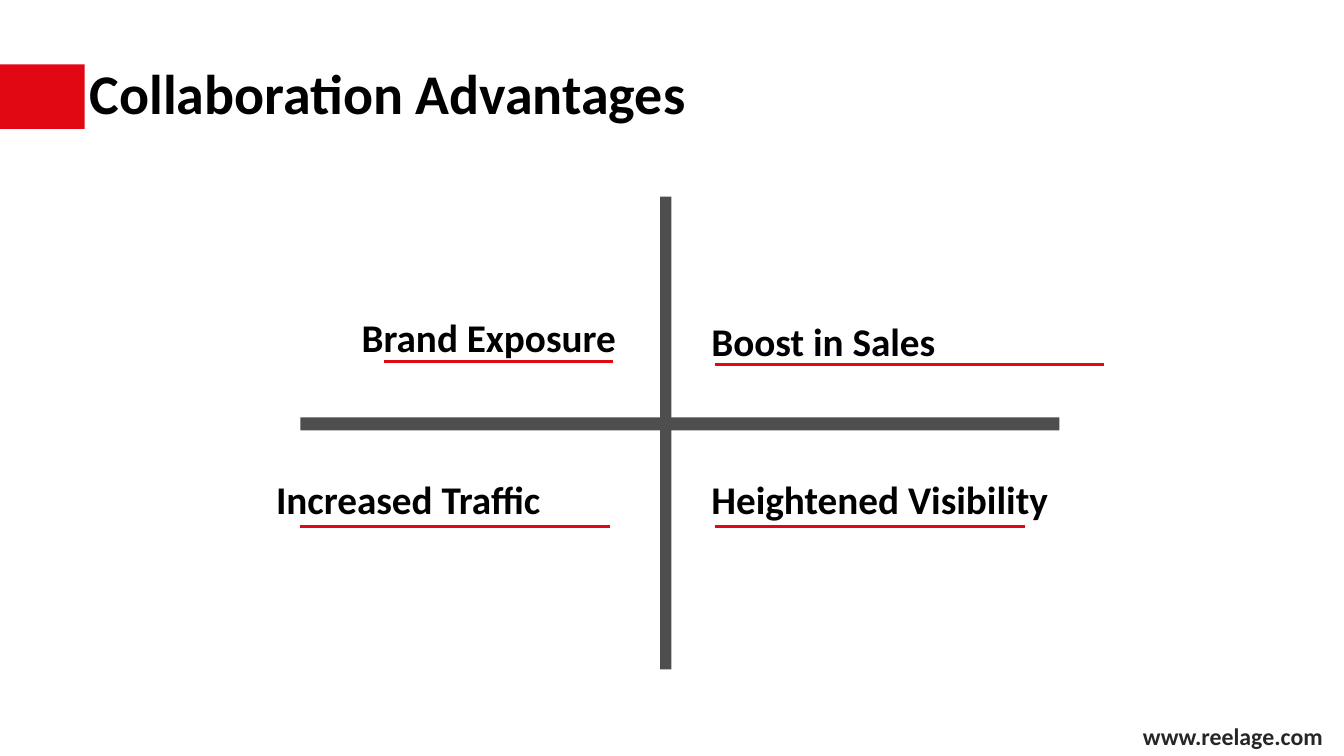
from lxml.etree import SubElement
from pptx import Presentation
from pptx.dml.color import RGBColor
from pptx.enum.shapes import MSO_CONNECTOR, MSO_SHAPE
from pptx.enum.text import MSO_ANCHOR, MSO_AUTO_SIZE, PP_ALIGN
from pptx.oxml.ns import qn
from pptx.util import Pt

COLORS = {"accent": "E20813", "axis": "4E4E4E", "text": "000000", "site": "262626"}

# label, label box (left, top, width, height), underline (indent, drop, length)
ADVANTAGES = [
    ("Brand Exposure", (251.3, 220.3, 197.3, 41), (23, 38.2, 163.4)),
    ("Boost in Sales", (501.1, 223.2, 319, 41), (9.4, 37.4, 277.9)),
    ("Increased Traffic", (190.1, 336.2, 258.5, 41), (24.5, 39.6, 221)),
    ("Heightened Visibility", (501.1, 336.2, 268.6, 41), (9.4, 39.6, 221.8)),
]


def color(key):
    return RGBColor.from_string(COLORS[key])


def add_bar(slide, box, fill):
    bar = slide.shapes.add_shape(MSO_SHAPE.RECTANGLE, *map(Pt, box))
    bar.shadow.inherit = False
    bar.fill.solid()
    bar.fill.fore_color.rgb = color(fill)
    bar.line.fill.background()


def write(frame, text, size, ink):
    paragraph = frame.paragraphs[0]
    paragraph.alignment = PP_ALIGN.LEFT
    run = paragraph.add_run()
    run.text = text
    run.font.name = "Calibri"
    run.font.size = Pt(size)
    run.font.bold = True
    run.font.color.rgb = color(ink)
    return paragraph


def add_label(slide, box, text, size, ink):
    frame = slide.shapes.add_textbox(*map(Pt, box)).text_frame
    frame.word_wrap = True
    frame.auto_size = MSO_AUTO_SIZE.SHAPE_TO_FIT_TEXT
    write(frame, text, size, ink)


def add_header(slide, box):
    """Place the red tab at the left edge and the title beside it."""
    left, top, width, height = box
    title = slide.shapes.title
    title.left, title.top = Pt(left + 56.9), Pt(top)
    title.width, title.height = Pt(width - 56.9), Pt(height)
    frame = title.text_frame
    frame.word_wrap = True
    frame.auto_size = MSO_AUTO_SIZE.NONE
    frame.vertical_anchor = MSO_ANCHOR.MIDDLE
    write(frame, "Collaboration Advantages", 40, "text").line_spacing = 0.9
    add_bar(slide, (left, top, 60.5, height), "accent")


def add_axes(slide, box):
    """Cross two bars that span the box."""
    left, top, width, height = box
    add_bar(slide, (left + 257, top, 7.9, height), "axis")
    add_bar(slide, (left, top + 157.7, width, 9.4), "axis")


def add_advantage(slide, box, text, underline):
    left, top = box[:2]
    indent, drop, length = underline
    add_label(slide, box, text, 28, "text")
    start, level = left + indent, top + drop
    rule = slide.shapes.add_connector(
        MSO_CONNECTOR.STRAIGHT, Pt(start), Pt(level), Pt(start + length), Pt(level))
    rule.line.color.rgb = color("accent")
    rule.line.width = Pt(2.25)
    SubElement(rule._element.spPr, qn("a:effectLst"))


def main():
    deck = Presentation()
    deck.slide_width, deck.slide_height = Pt(960), Pt(540)
    slide = deck.slides.add_slide(deck.slide_layouts[5])
    add_header(slide, (0, 46.1, 509.8, 46.1))
    add_axes(slide, (214.6, 140.4, 542.2, 337.7))
    for text, box, underline in ADVANTAGES:
        add_advantage(slide, box, text, underline)
    add_label(slide, (809.3, 511.9, 150.7, 28.1), "www.reelage.com", 17, "site")
    deck.save("out.pptx")


if __name__ == "__main__":
    main()
